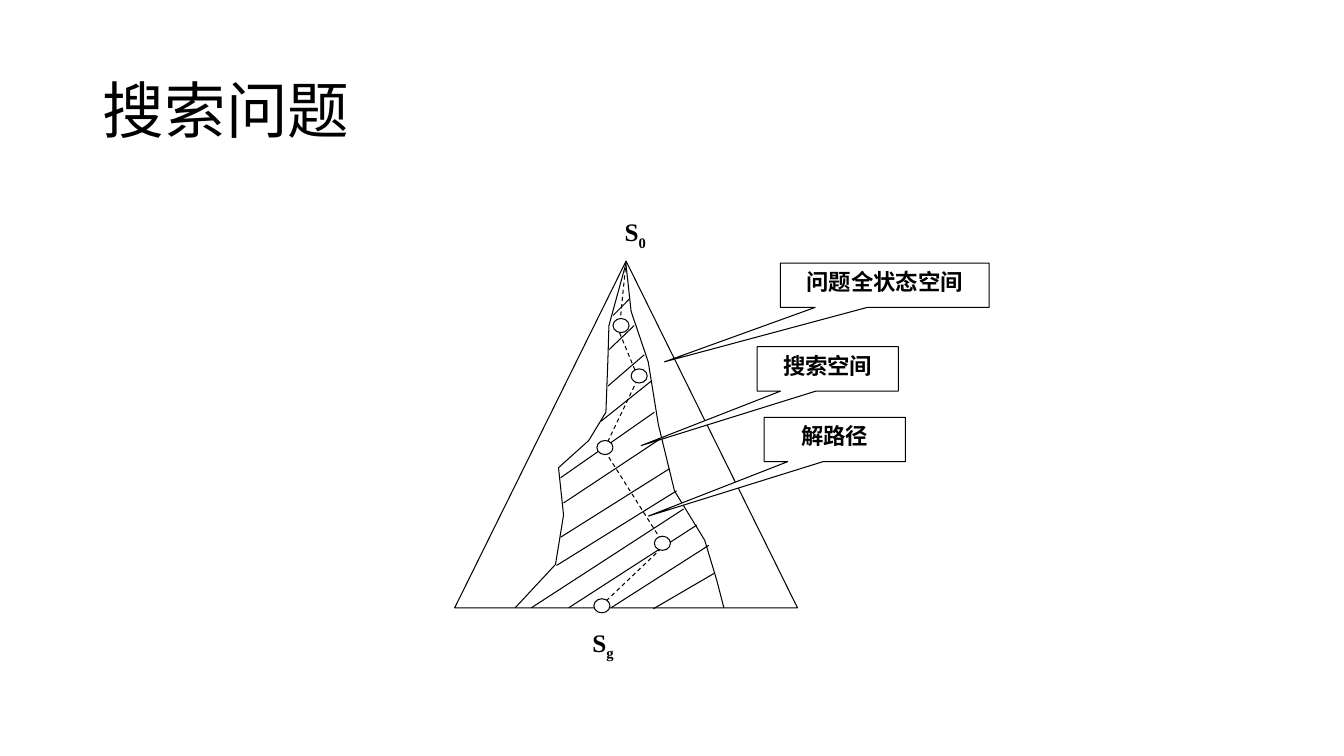
from pptx import Presentation
from pptx.dml.color import RGBColor
from pptx.enum.dml import MSO_LINE
from pptx.enum.shapes import MSO_CONNECTOR, MSO_SHAPE
from pptx.enum.text import MSO_ANCHOR, PP_ALIGN
from pptx.oxml.ns import qn
from pptx.util import Inches, Pt

COLORS = {"ink": "000000", "paper": "FFFFFF"}
FONT = "Times New Roman"
CELL = 0.1  # inches per grid column and row

# All coordinates below are (column, row) on the grid
LEFT_BOUNDARY = [(62.1, 26.1), (60.4, 32.3), (60.3, 35.7), (60.1, 40.9), (58.4, 43.7),
                 (55.4, 46.4), (55.9, 51.1), (55.1, 56), (51.1, 60.3)]
RIGHT_BOUNDARY = [(62.1, 26.3), (62.6, 30.9), (64.3, 35.9), (65.3, 42.1),
                  (66.9, 48.7), (69.9, 53.6), (71.1, 57.6), (71.8, 60.3)]
SOLUTION_PATH = [(62.1, 25.9), (61.4, 32.9), (63.3, 37.5), (59.9, 44.6),
                 (65.9, 54.1), (59.4, 60.3)]
HATCHING = [((64.8, 60.4), (70.8, 56.9)), ((60.6, 60.3), (70.3, 54.1)),
            ((56.4, 60.3), (69.1, 52.1)), ((52.7, 60.3), (67.8, 50.5)),
            ((55.2, 56.1), (67.1, 48.7)), ((55.6, 53.3), (66.4, 46.5)),
            ((55.9, 49.9), (65.4, 43.6)), ((55.6, 47.4), (64.9, 40.9)),
            ((59.6, 41.8), (64.6, 37.8)), ((60.3, 38.3), (63.9, 35.2)),
            ((60.4, 34.7), (62.9, 32.3)), ((60.8, 31.3), (62.4, 29.7))]
NODE_CENTRES = [(59.7, 60.1), (65.7, 53.9), (60, 44.4), (63.4, 37.3), (61.6, 32.3)]
NODE_SIZE = (1.6, 1.4)
STATE_LABELS = [("0", 58.6, 21), ("g", 55.4, 61.7)]
LABEL_SIZE = (8.8, 4.7)
# text, left, top, width, pointer tip
CALLOUTS = [("问题全状态空间", 77.4, 26.1, 20.7, (65.9, 35.9)),
            ("搜索空间", 75.1, 34.4, 14, (63.6, 44.2)),
            ("解路径", 75.8, 41.4, 14, (64.3, 51.2))]
CALLOUT_HEIGHT = 4.4


def grid(*cells):
    return [Inches(cell * CELL) for cell in cells]


def color(name):
    return RGBColor.from_string(COLORS[name])


def style(shape, filled=True, outlined=True):
    shape.shadow.inherit = False
    if filled:
        shape.fill.solid()
        shape.fill.fore_color.rgb = color("paper")
    else:
        shape.fill.background()
    if outlined:
        shape.line.color.rgb = color("ink")
        shape.line.width = Pt(0.75)
    else:
        shape.line.fill.background()


def add_run(paragraph, text, size, bold=False):
    run = paragraph.add_run()
    run.text = text
    run.font.name = FONT
    run.font.size = Pt(size)
    run.font.bold = bold
    run.font.color.rgb = color("ink")
    return run


def top_centred_paragraph(shape):
    frame = shape.text_frame
    frame.word_wrap = True
    frame.vertical_anchor = MSO_ANCHOR.TOP
    paragraph = frame.paragraphs[0]
    paragraph.alignment = PP_ALIGN.CENTER
    return paragraph


def add_box(slide, kind, left, top, width, height, **look):
    shape = slide.shapes.add_shape(kind, *grid(left, top, width, height))
    style(shape, **look)
    return shape


def add_outline(slide, points, dashed=False):
    start, *rest = [grid(*point) for point in points]
    builder = slide.shapes.build_freeform(*start)
    builder.add_line_segments(rest, close=False)
    shape = builder.convert_to_shape()
    style(shape, filled=False)
    if dashed:
        shape.line.dash_style = MSO_LINE.DASH


def add_line(slide, start, end):
    line = slide.shapes.add_connector(MSO_CONNECTOR.STRAIGHT, *grid(*start, *end))
    line.line.color.rgb = color("ink")
    line.line.width = Pt(0.75)
    properties = line._element.spPr
    properties.append(properties.makeelement(qn("a:effectLst"), {}))


def add_node(slide, column, row):
    width, height = NODE_SIZE
    add_box(slide, MSO_SHAPE.OVAL, column - width / 2, row - height / 2, width, height)


def add_state_label(slide, subscript, left, top):
    shape = add_box(slide, MSO_SHAPE.RECTANGLE, left, top, *LABEL_SIZE, outlined=False)
    paragraph = top_centred_paragraph(shape)
    add_run(paragraph, "S", 18, bold=True)
    index = add_run(paragraph, subscript, 18, bold=True)
    index._r.get_or_add_rPr().set("baseline", "-25000")


def add_callout(slide, text, left, top, width, tip):
    shape = add_box(slide, MSO_SHAPE.RECTANGULAR_CALLOUT, left, top, width, CALLOUT_HEIGHT)
    # The pointer is measured from the box centre, in shares of its size
    shape.adjustments[0] = (tip[0] - left) / width - 0.5
    shape.adjustments[1] = (tip[1] - top) / CALLOUT_HEIGHT - 0.5
    add_run(top_centred_paragraph(shape), text, 16, bold=True)


def add_title(slide, text):
    title = slide.shapes.title
    title.left, title.top, title.width, title.height = grid(9.2, 4, 115, 14.5)
    title.text_frame.vertical_anchor = MSO_ANCHOR.MIDDLE
    paragraph = title.text_frame.paragraphs[0]
    paragraph.alignment = PP_ALIGN.LEFT
    paragraph.line_spacing = 0.9
    add_run(paragraph, text, 44)


def main():
    presentation = Presentation()
    presentation.slide_width = Inches(13.33)
    presentation.slide_height = Inches(7.5)
    slide = presentation.slides.add_slide(presentation.slide_layouts[5])
    add_title(slide, "搜索问题")

    # Whole state space, searched region and solution path
    add_box(slide, MSO_SHAPE.FLOWCHART_EXTRACT, 45.1, 25.9, 34, 34.4, filled=False)
    add_outline(slide, LEFT_BOUNDARY)
    add_outline(slide, RIGHT_BOUNDARY)
    add_outline(slide, SOLUTION_PATH, dashed=True)
    for start, end in HATCHING:
        add_line(slide, start, end)
    for centre in NODE_CENTRES:
        add_node(slide, *centre)

    # Labels
    for label in STATE_LABELS:
        add_state_label(slide, *label)
    for callout in CALLOUTS:
        add_callout(slide, *callout)

    presentation.save("out.pptx")


if __name__ == "__main__":
    main()
